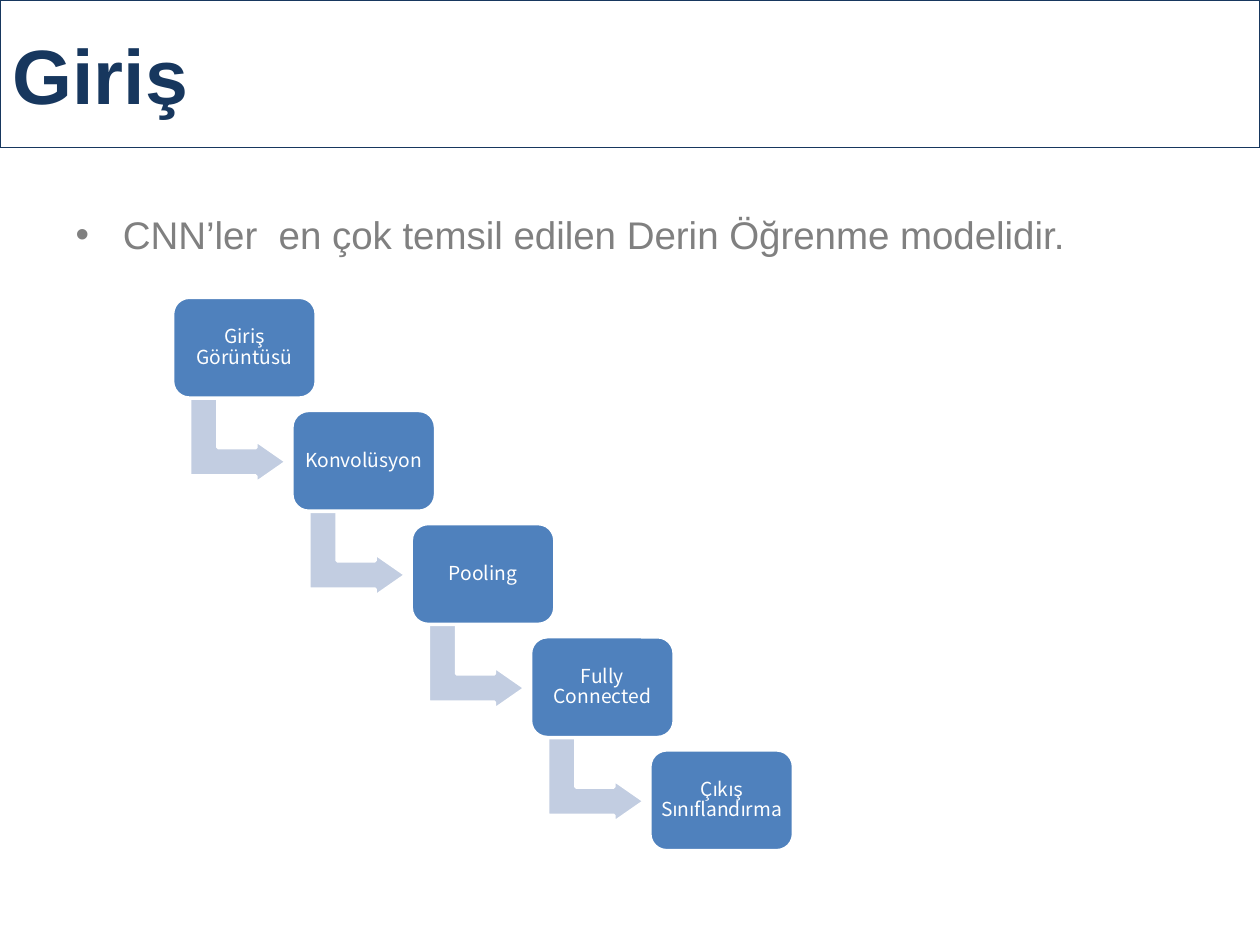
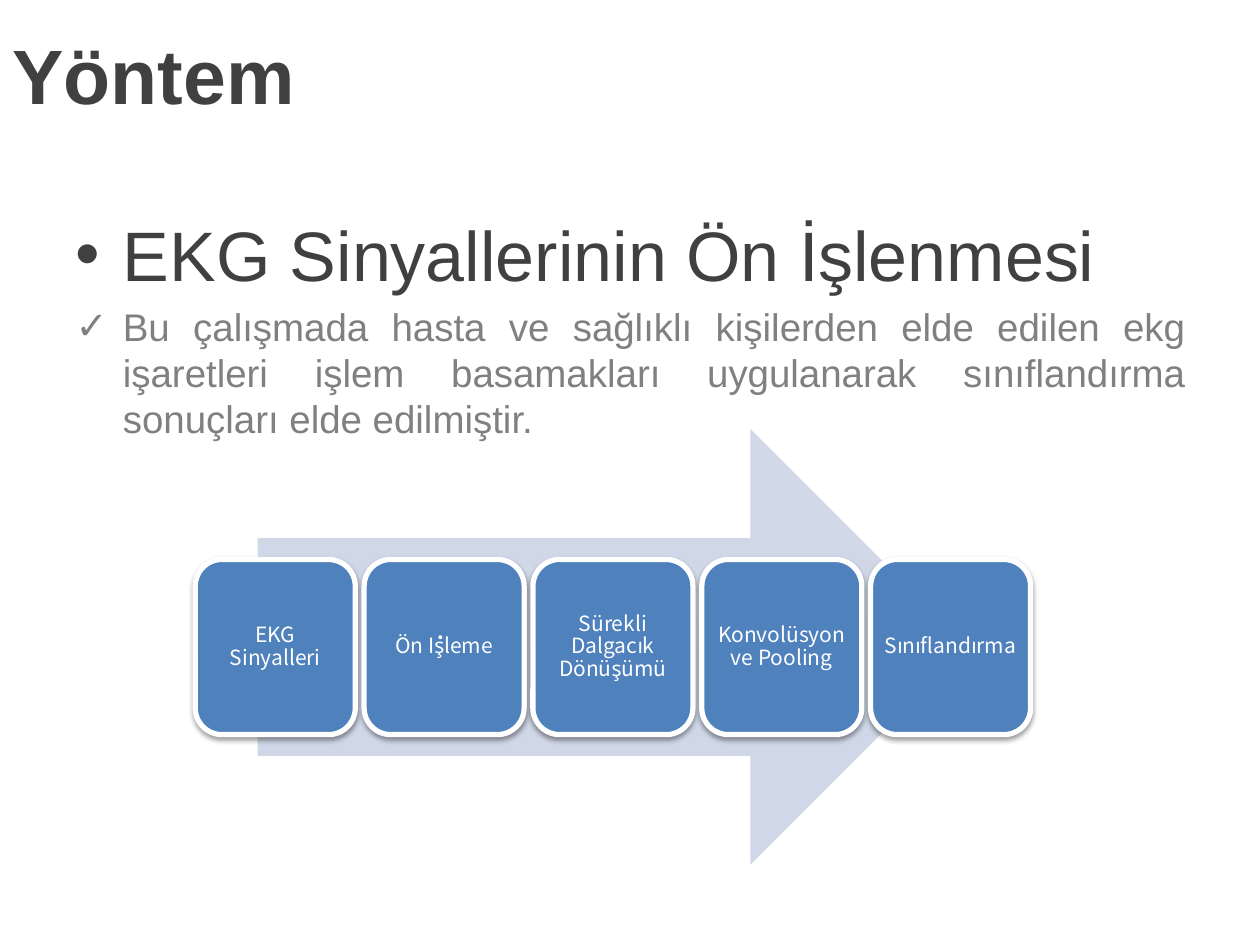
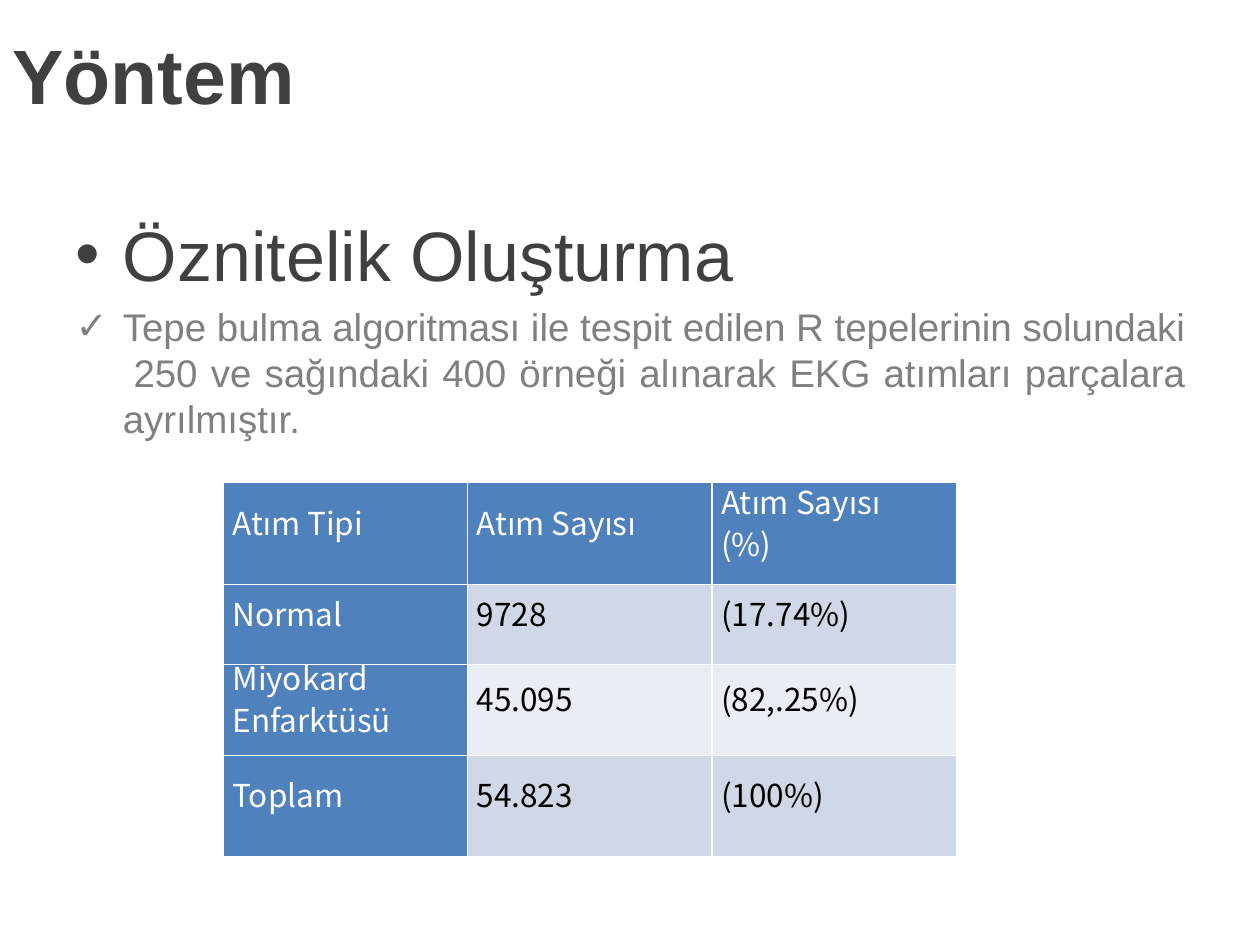
import dataclasses

import lxml.etree
import pptx
import pptx.dml.color
import pptx.enum.shapes
import pptx.enum.text
import pptx.oxml
import pptx.oxml.ns
import pptx.util

SHAPE = pptx.enum.shapes.MSO_SHAPE
ALIGN = pptx.enum.text.PP_ALIGN
MIDDLE = pptx.enum.text.MSO_ANCHOR.MIDDLE
rgb = pptx.dml.color.RGBColor.from_string
qn = pptx.oxml.ns.qn
Pt = pptx.util.Pt


@dataclasses.dataclass(frozen=True)
class Theme:
    font: str = "Arial"
    diagram_font: str = "Noto Sans CJK KR"
    navy: str = "17375E"
    dark: str = "404040"
    gray: str = "808080"
    blue: str = "4F81BD"
    arrow: str = "C2CDE1"
    pale: str = "D0D8E8"
    paler: str = "E9EDF4"
    white: str = "FFFFFF"
    black: str = "000000"
    title_size: int = 44
    heading_size: int = 40
    body_size: int = 22
    table_size: int = 18
    step_size: int = 11
    stage_size: int = 12


theme = Theme()

# Grid of 100 columns by 75 rows over the slide
prs = pptx.Presentation()
prs.slide_width = pptx.util.Inches(10)
prs.slide_height = pptx.util.Inches(7.5)
COL = prs.slide_width // 100
ROW = prs.slide_height // 75


def add_run(paragraph, text, size, color, font=theme.font, bold=False):
    run = paragraph.add_run()
    run.text = text
    run.font.size = Pt(size)
    run.font.name = font
    run.font.bold = bold
    run.font.color.rgb = rgb(color)


def add_block(slide, preset, left, top, width, height, fill, line_width=0,
              label="", size=theme.step_size):
    block = slide.shapes.add_shape(
        preset, int(left * COL), int(top * ROW), int(width * COL), int(height * ROW))
    block.shadow.inherit = False
    block.fill.solid()
    block.fill.fore_color.rgb = rgb(fill)
    if line_width:
        block.line.color.rgb = rgb(theme.white)
        block.line.width = Pt(line_width)
    else:
        block.line.fill.background()
    if label:
        frame = block.text_frame
        frame.word_wrap = True
        frame.vertical_anchor = MIDDLE
        frame.margin_left = frame.margin_right = COL // 2
        frame.margin_top = frame.margin_bottom = ROW // 2
        paragraph = frame.paragraphs[0]
        paragraph.alignment = ALIGN.CENTER
        paragraph.line_spacing = 0.9
        add_run(paragraph, label, size, theme.white, theme.diagram_font)
    return block


# Shared places of title and body
layout = prs.slide_layouts[1]
places = ((0, 0, 100, 11.7), (5, 16.25, 90.1, 38.6))
for holder, (left, top, width, height) in zip(layout.placeholders, places):
    holder.left, holder.top = int(left * COL), int(top * ROW)
    holder.width, holder.height = int(width * COL), int(height * ROW)

# Titles and lists: each point is text, size, colour, ticked
pages = [
    ("Giriş", theme.navy, [
        ("CNN’ler  en çok temsil edilen Derin Öğrenme modelidir.",
         theme.body_size, theme.gray, False)]),
    ("Yöntem", theme.dark, [
        ("EKG Sinyallerinin Ön İşlenmesi", theme.heading_size, theme.dark, False),
        ("Bu çalışmada hasta ve sağlıklı kişilerden elde edilen ekg işaretleri "
         "işlem basamakları uygulanarak sınıflandırma sonuçları elde edilmiştir.",
         theme.body_size, theme.gray, True)]),
    ("Yöntem", theme.dark, [
        ("Öznitelik Oluşturma", theme.heading_size, theme.dark, False),
        ("Tepe bulma algoritması ile tespit edilen R tepelerinin solundaki \u00a0250 ve "
         "sağındaki 400 örneği alınarak EKG atımları parçalara ayrılmıştır.",
         theme.body_size, theme.gray, True)]),
]
slides = []
for heading, color, points in pages:
    slide = prs.slides.add_slide(layout)
    slides.append(slide)
    title, body = slide.placeholders
    for holder in (title, body):
        holder.text_frame.auto_size = pptx.enum.text.MSO_AUTO_SIZE.NONE
    title.text_frame.vertical_anchor = MIDDLE
    title.text_frame.paragraphs[0].alignment = ALIGN.LEFT
    add_run(title.text_frame.paragraphs[0], heading, theme.title_size, color, bold=True)
    for i, (text, size, tone, ticked) in enumerate(points):
        frame = body.text_frame
        paragraph = frame.add_paragraph() if i else frame.paragraphs[0]
        if ticked:
            paragraph.alignment = ALIGN.JUSTIFY
            properties = paragraph._p.get_or_add_pPr()
            lxml.etree.SubElement(properties, qn("a:buFont"), typeface=theme.font)
            lxml.etree.SubElement(properties, qn("a:buChar"), char="✓")
        add_run(paragraph, text, size, tone)

intro, preprocessing, features = slides

# Slide 1: framed title and staircase of network layers
intro_title = intro.shapes.title
intro_title.line.color.rgb = rgb(theme.navy)
intro_title.line.width = Pt(0.75)

steps = ["Giriş Görüntüsü", "Konvolüsyon", "Pooling", "Fully Connected",
         "Çıkış Sınıflandırma"]
for i, label in enumerate(steps):
    left, top = 13.7 + 9.47 * i, 23.6 + 8.98 * i
    if i < len(steps) - 1:
        turn = add_block(intro, SHAPE.BENT_UP_ARROW, left + 1.8, top + 7.5,
                         6.8, 7.7, theme.arrow, 2)
        turn.rotation = 90
        for k, share in enumerate((0.33, 0.25, 0.36)):
            turn.adjustments[k] = share
    add_block(intro, SHAPE.ROUNDED_RECTANGLE, left, top, 11.4, 8,
              theme.blue, 2, label)

# Slide 2: stages over a wide arrow
add_block(preprocessing, SHAPE.RIGHT_ARROW, 20.45, 34.05, 56.4, 34.6, theme.pale)
stages = ["EKG Sinyalleri", "Ön İşleme", "Sürekli Dalgacık Dönüşümü",
          "Konvolüsyon ve Pooling", "Sınıflandırma"]
for i, label in enumerate(stages):
    stage = add_block(preprocessing, SHAPE.ROUNDED_RECTANGLE, 15.5 + 13.4 * i, 44.4,
                      12.7, 13.9, theme.blue, 3, label, theme.stage_size)
    effects = stage._element.spPr.find(qn("a:effectLst"))
    shadow = lxml.etree.SubElement(
        effects, qn("a:outerShdw"), blurRad=str(Pt(3.1)), dist=str(Pt(1.6)),
        dir="5400000", rotWithShape="0")
    tint = lxml.etree.SubElement(shadow, qn("a:srgbClr"), val=theme.black)
    lxml.etree.SubElement(tint, qn("a:alpha"), val="38000")

# Slide 3: table of beats, one inner tuple per cell with its lines
beats = [
    (("Atım Tipi",), ("Atım Sayısı",), ("Atım Sayısı", "(%)")),
    (("Normal",), ("9728",), ("(17.74%)",)),
    (("Miyokard", "Enfarktüsü"), ("45.095",), ("(82,.25%)",)),
    (("Toplam",), ("54.823",), ("(100%)",)),
]
row_heights = (8.1, 6.35, 7.2, 8.05)
table = features.shapes.add_table(
    len(beats), 3, int(17.7 * COL), int(38.3 * ROW),
    int(58.2 * COL), int(sum(row_heights) * ROW)).table
for column in table.columns:
    column.width = int(19.4 * COL)
for r, (cells, height) in enumerate(zip(beats, row_heights)):
    table.rows[r].height = int(height * ROW)
    for c, lines in enumerate(cells):
        cell = table.cell(r, c)
        is_head = r == 0 or c == 0
        cell.vertical_anchor = MIDDLE
        cell.margin_left = cell.margin_right = int(0.75 * COL)
        cell.margin_top = cell.margin_bottom = 0
        # Borders come before the fill in the cell's properties
        for side in ("a:lnL", "a:lnR", "a:lnT", "a:lnB"):
            border = lxml.etree.SubElement(
                cell._tc.get_or_add_tcPr(), qn(side), w=str(Pt(1)))
            paint = lxml.etree.SubElement(border, qn("a:solidFill"))
            lxml.etree.SubElement(paint, qn("a:srgbClr"), val=theme.white)
        cell.fill.solid()
        cell.fill.fore_color.rgb = rgb(
            theme.blue if is_head else theme.pale if r % 2 else theme.paler)
        for i, text in enumerate(lines):
            frame = cell.text_frame
            paragraph = frame.add_paragraph() if i else frame.paragraphs[0]
            paragraph.alignment = ALIGN.JUSTIFY
            paragraph.line_spacing = Pt(12)
            if i:
                paragraph.space_before = Pt(12)
            add_run(paragraph, text, theme.table_size,
                    theme.white if is_head else theme.black, theme.diagram_font)

prs.save("out.pptx")
